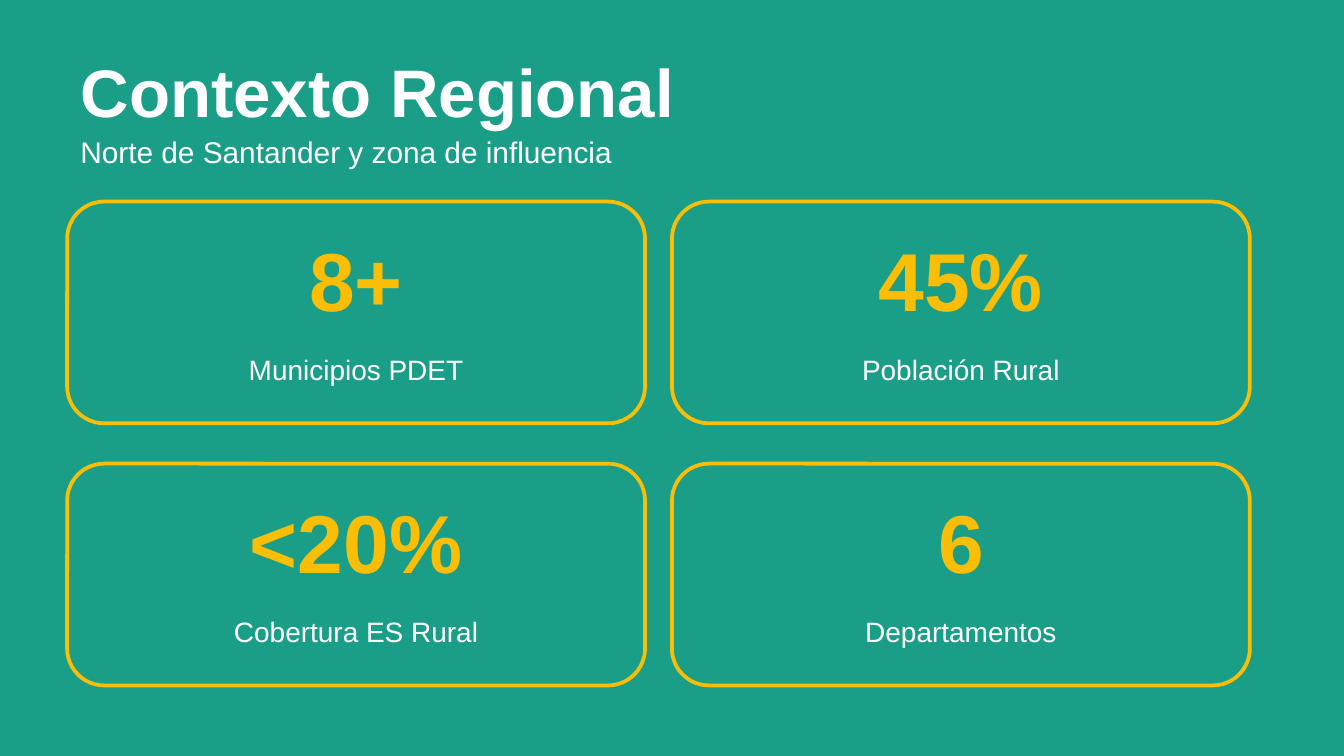
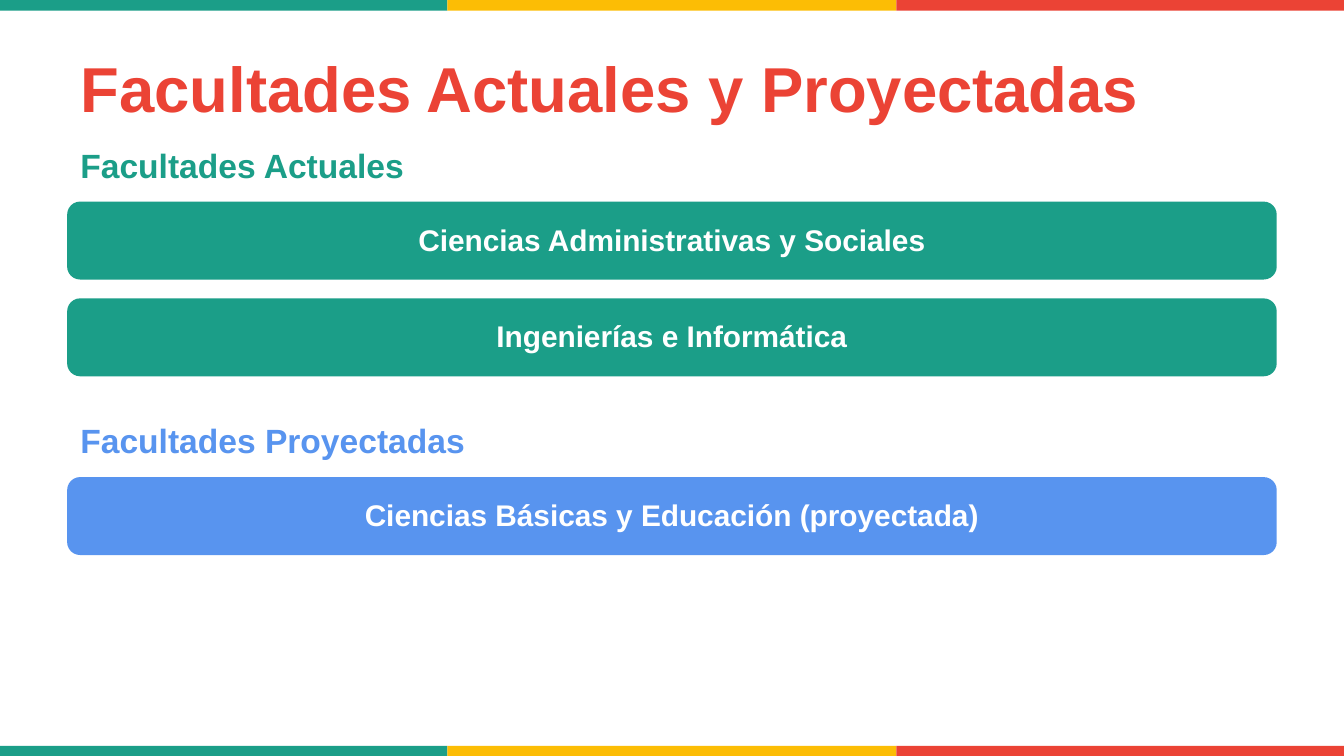
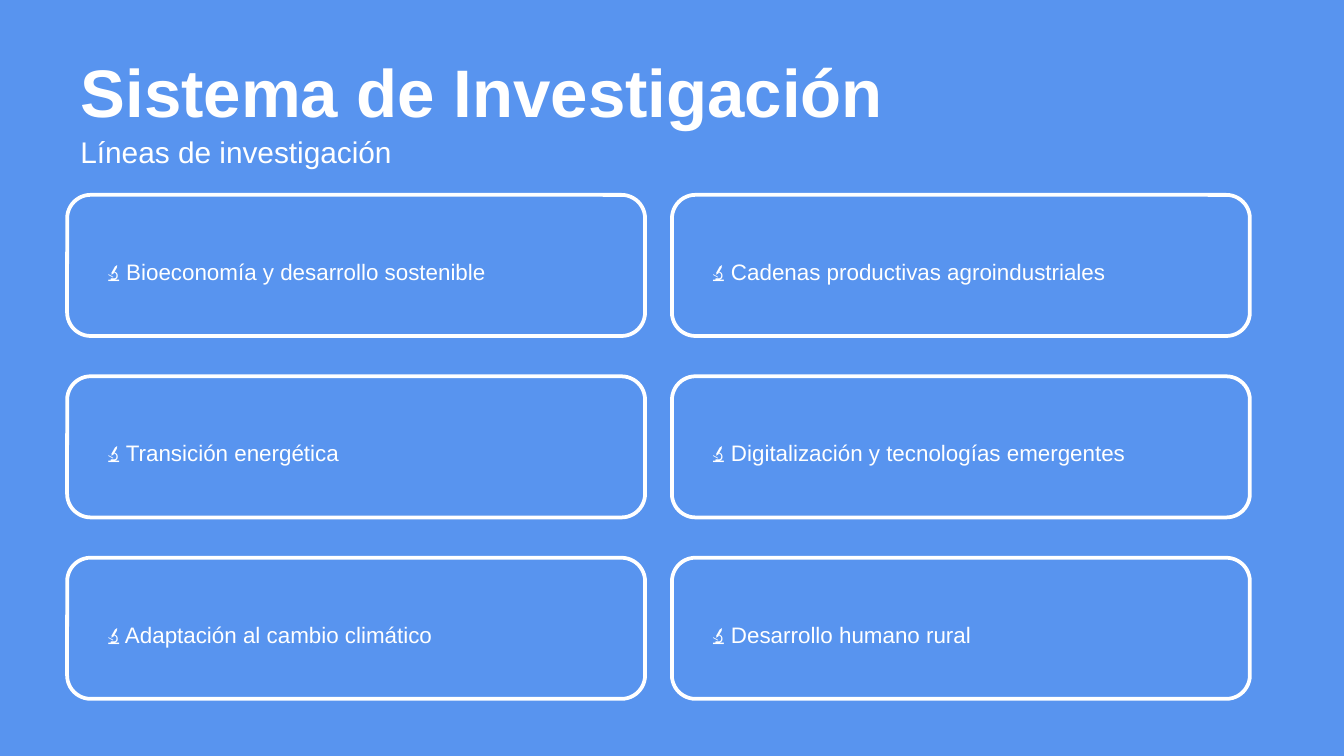
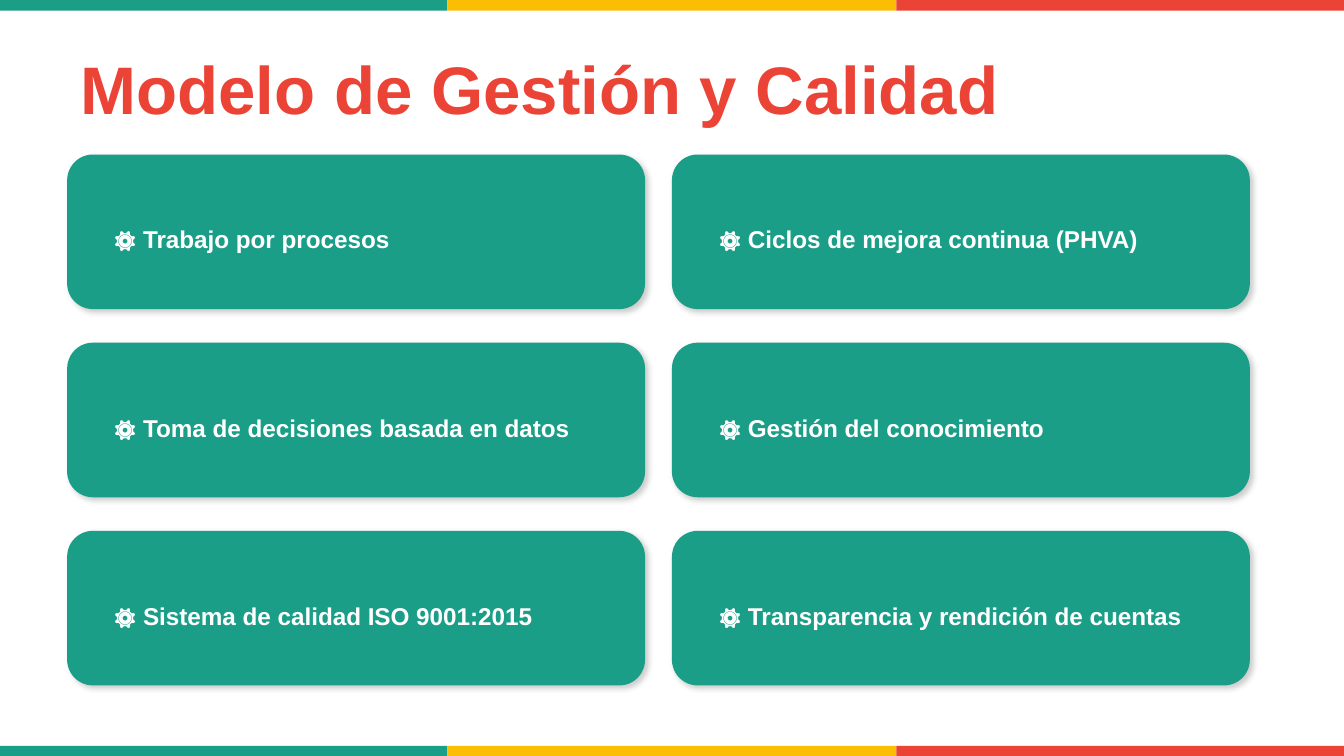
from itertools import product

from lxml.etree import SubElement
from pptx import Presentation
from pptx.dml.color import RGBColor
from pptx.enum.shapes import MSO_SHAPE as Shape
from pptx.enum.text import MSO_ANCHOR as Anchor, MSO_AUTO_SIZE as AutoSize, PP_ALIGN as Align
from pptx.oxml.ns import qn
from pptx.util import Inches, Pt

rgb = RGBColor.from_string
GREEN, YELLOW, RED, BLUE, WHITE = "1B9E88", "FCBD05", "EB4335", "5894EF", "FFFFFF"
FONT = "Arial"

# Grid in inches, on a 16:9 slide
WIDTH = 10
HEIGHT = WIDTH * 9 / 16
MARGIN, CONTENT_WIDTH = 0.5, 9
CARD_WIDTH, COLUMN_STEP = 4.3, 4.5
BAND_HEIGHT = 0.08
BAND_EDGES = [round(WIDTH * third / 3, 2) for third in range(4)]


def write(box, text, size, color, bold=False, align=Align.LEFT):
    frame = box.text_frame
    frame.word_wrap = True
    frame.auto_size = AutoSize.NONE
    frame.vertical_anchor = Anchor.MIDDLE
    para = frame.paragraphs[0]
    para.alignment = align
    span = para.add_run()
    span.text = text
    span.font.name, span.font.size, span.font.bold = FONT, Pt(size), bold
    span.font.color.rgb = rgb(color)


def add_block(page, kind, area, fill, line=None, opacity=100):
    """Add a filled shape; area is left, top, width, height in inches."""
    block = page.shapes.add_shape(kind, *map(Inches, area))
    block.shadow.inherit = False
    block.fill.solid()
    block.fill.fore_color.rgb = rgb(fill)
    if opacity < 100:
        tint = block.fill._xPr.find(qn("a:solidFill"))[0]
        SubElement(tint, qn("a:alpha"), val=str(opacity * 1000))
    if line:
        block.line.color.rgb = rgb(line)
        block.line.width = Pt(2)
    else:
        block.line.fill.background()
    return block


deck = Presentation()
deck.slide_width, deck.slide_height = Inches(WIDTH), Inches(HEIGHT)

# Backgrounds, titles, subtitles and bands
pages = []
for heading, size, background, subtitle in [
    ("Contexto Regional", 36, GREEN, "Norte de Santander y zona de influencia"),
    ("Facultades Actuales y Proyectadas", 34, WHITE, None),
    ("Sistema de Investigación", 36, BLUE, "Líneas de investigación"),
    ("Modelo de Gestión y Calidad", 36, WHITE, None),
]:
    page = deck.slides.add_slide(deck.slide_layouts[5])
    pages.append(page)
    page.background.fill.solid()
    page.background.fill.fore_color.rgb = rgb(background)

    banded = background == WHITE
    title = page.shapes.title
    title.left, title.width = Inches(MARGIN), Inches(CONTENT_WIDTH)
    title.top, title.height = map(Inches, (0.3, 0.7) if banded else (0.4, 0.55))
    write(title, heading, size, RED if banded else WHITE, bold=True)
    if subtitle:
        box = page.shapes.add_textbox(*map(Inches, (MARGIN, 0.95, CONTENT_WIDTH, 0.35)))
        write(box, subtitle, 16, WHITE)
    if banded:
        for top, (left, right, color) in product(
            (0, 5.55), zip(BAND_EDGES, BAND_EDGES[1:], (GREEN, YELLOW, RED))
        ):
            add_block(page, Shape.RECTANGLE, (left, top, right - left, BAND_HEIGHT), color)

context_page, faculties_page, research_page, quality_page = pages

# Regional context: a two by two grid of figures
figures = [
    ("8+", "Municipios PDET"),
    ("45%", "Población Rural"),
    ("<20%", "Cobertura ES Rural"),
    ("6", "Departamentos"),
]
for index, (figure, label) in enumerate(figures):
    row, column = divmod(index, 2)
    left, top = MARGIN + column * COLUMN_STEP, 1.5 + row * 1.95
    add_block(context_page, Shape.ROUNDED_RECTANGLE, (left, top, CARD_WIDTH, 1.65),
              GREEN, line=YELLOW, opacity=50)
    for text, offset, height, size, color, bold in [
        (figure, 0.2, 0.75, 44, YELLOW, True),
        (label, 1.05, 0.4, 15, WHITE, False),
    ]:
        area = (left, top + offset, CARD_WIDTH, height)
        box = context_page.shapes.add_textbox(*map(Inches, area))
        write(box, text, size, color, bold, Align.CENTER)

# Faculties: a heading above each stack of bars
for heading, top, color, faculties in [
    ("Facultades Actuales", 1.05, GREEN,
     ["Ciencias Administrativas y Sociales", "Ingenierías e Informática"]),
    ("Facultades Proyectadas", 3.1, BLUE,
     ["Ciencias Básicas y Educación (proyectada)"]),
]:
    box = faculties_page.shapes.add_textbox(
        *map(Inches, (MARGIN, top, CONTENT_WIDTH, 0.35)))
    write(box, heading, 18, color, bold=True)
    for row, faculty in enumerate(faculties):
        bar_top = top + 0.45 + row * 0.72
        add_block(faculties_page, Shape.ROUNDED_RECTANGLE,
                  (MARGIN, bar_top, CONTENT_WIDTH, 0.58), color)
        box = faculties_page.shapes.add_textbox(
            *map(Inches, (MARGIN, bar_top + 0.08, CONTENT_WIDTH, 0.4)))
        write(box, faculty, 16, WHITE, True, Align.CENTER)

# Research lines: outlined cards, two columns by three rows
research_lines = [
    "Bioeconomía y desarrollo sostenible",
    "Cadenas productivas agroindustriales",
    "Transición energética",
    "Digitalización y tecnologías emergentes",
    "Adaptación al cambio climático",
    "Desarrollo humano rural",
]
for index, research_line in enumerate(research_lines):
    row, column = divmod(index, 2)
    left, top = MARGIN + column * COLUMN_STEP, 1.45 + row * 1.35
    add_block(research_page, Shape.ROUNDED_RECTANGLE, (left, top, CARD_WIDTH, 1.05),
              BLUE, line=WHITE, opacity=60)
    box = research_page.shapes.add_textbox(
        *map(Inches, (left + 0.2, top + 0.32, 4, 0.5)))
    write(box, f"🔬 {research_line}", 12, WHITE)

# Management and quality: shadowed cards, two columns by three rows
principles = [
    "Trabajo por procesos",
    "Ciclos de mejora continua (PHVA)",
    "Toma de decisiones basada en datos",
    "Gestión del conocimiento",
    "Sistema de calidad ISO 9001:2015",
    "Transparencia y rendición de cuentas",
]
for index, principle in enumerate(principles):
    row, column = divmod(index, 2)
    left, top = MARGIN + column * COLUMN_STEP, 1.15 + row * 1.4
    card = add_block(quality_page, Shape.ROUNDED_RECTANGLE,
                     (left, top, CARD_WIDTH, 1.15), GREEN)
    effects = card._element.spPr.find(qn("a:effectLst"))
    shadow = SubElement(effects, qn("a:outerShdw"), blurRad=str(Pt(3)), dist=str(Pt(2)),
                        dir=str(45 * 60000), algn="bl", rotWithShape="0")
    shade = SubElement(shadow, qn("a:srgbClr"), val="000000")
    SubElement(shade, qn("a:alpha"), val="20000")
    box = quality_page.shapes.add_textbox(
        *map(Inches, (left + 0.25, top + 0.38, 3.9, 0.5)))
    write(box, f"⚙️ {principle}", 13, WHITE, bold=True)

deck.save("out.pptx")
